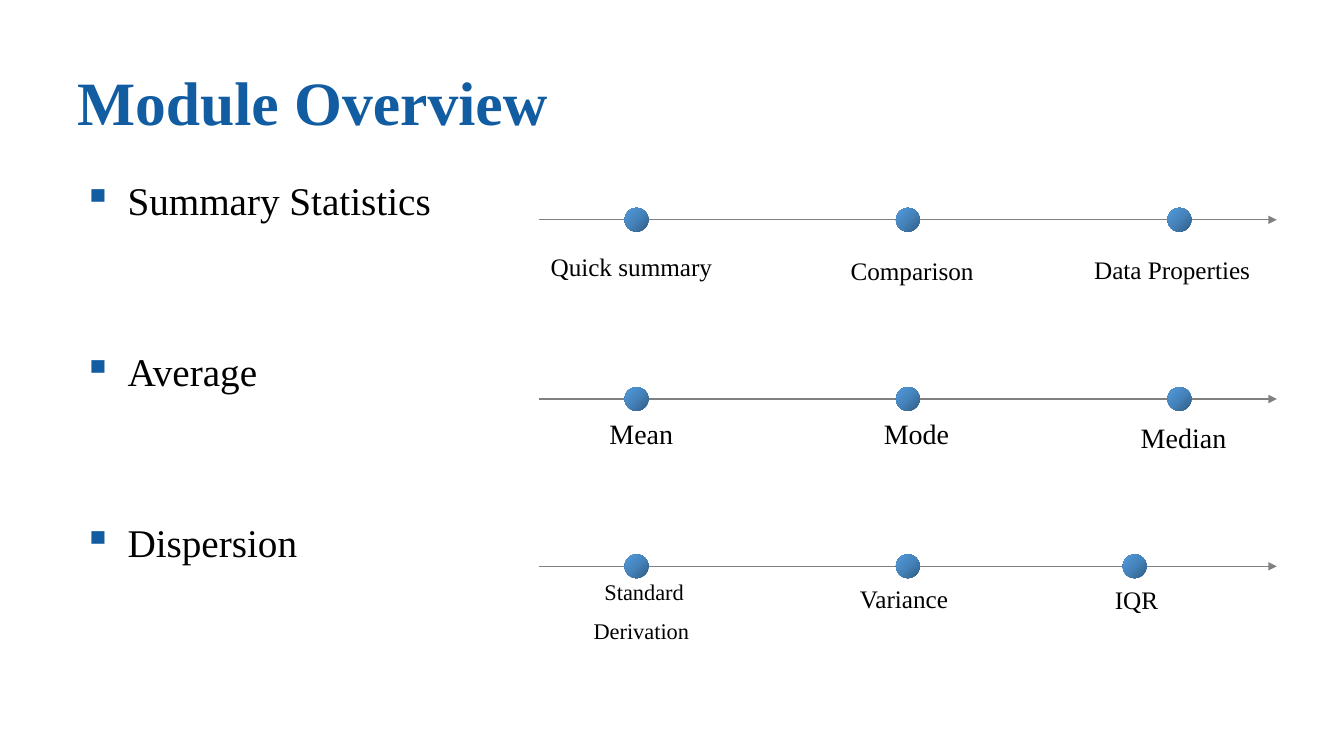
import copy

import pptx
import pptx.dml.color
import pptx.enum.shapes
import pptx.enum.text
import pptx.oxml
import pptx.oxml.ns
import pptx.util

Pt = pptx.util.Pt
RGBColor = pptx.dml.color.RGBColor
Align = pptx.enum.text.PP_ALIGN
Anchor = pptx.enum.text.MSO_ANCHOR
qn = pptx.oxml.ns.qn

BLUE = RGBColor(0x12, 0x5D, 0xA2)
BLACK = RGBColor(0, 0, 0)
GRAY = RGBColor(0x80, 0x80, 0x80)
DOT_STOPS = [
    (0, RGBColor(0x30, 0x5C, 0x84)),
    (0.5, RGBColor(0x45, 0x83, 0xBB)),
    (1, RGBColor(0x52, 0x9B, 0xDE)),
]

ARROW_LEFT, ARROW_RIGHT = 385, 912
DOT_SIZE = 17
DOT_FIRST, DOT_MIDDLE, DOT_LAST = 454.7, 648.5, 842.5

# Each topic: name, arrow height, then (dot centre, label lines, label box, format)
SUMMARY = dict(size=18, align=Align.CENTER, spacing=1.1)
AVERAGE = dict(size=20, before=10, indent=4.3)
SPREAD = dict(size=18, before=10, indent=4.3)
TOPICS = [
    ("Summary Statistics", 157, [
        (DOT_FIRST, ["Quick summary"], (391, 177, 120, 24), SUMMARY),
        (DOT_MIDDLE, ["Comparison"], (591, 180.5, 121, 22.5), SUMMARY),
        (DOT_LAST, ["Data Properties"], (781, 179, 112.5, 24), SUMMARY),
    ]),
    ("Average", 285, [
        (DOT_FIRST, ["Mean"], (431, 300, 83, 22.5), AVERAGE),
        (DOT_MIDDLE, ["Mode"], (627, 299.5, 83, 22.5), AVERAGE),
        (DOT_LAST, ["Median"], (810.5, 302.5, 83, 22.5), AVERAGE),
    ]),
    ("Dispersion", 404.5, [
        (DOT_FIRST, ["Standard", "Derivation "], (409.5, 415.5, 97, 44.5),
         dict(SPREAD, size=16, align=Align.CENTER)),
        (DOT_MIDDLE, ["Variance"], (610, 419, 100, 19.5), SPREAD),
        (810.5, ["IQR"], (792, 420, 68, 19.5), SPREAD),
    ]),
]


def write_text(para, text, *, size, color=BLACK, bold=False, font="Times New Roman",
               align=Align.LEFT, spacing=0.9, before=0, indent=0):
    span = para.add_run()
    span.text = text
    span.font.name = font
    span.font.size = Pt(size)
    span.font.bold = bold
    span.font.color.rgb = color
    para.alignment = align
    para.line_spacing = spacing
    para.space_before = Pt(before)
    para._p.get_or_add_pPr().set("marL", str(Pt(indent)))


class Page:
    def __init__(self, deck):
        self.shapes = deck.slides.add_slide(deck.slide_layouts[6]).shapes

    def text(self, lines, place, *, anchor=Anchor.MIDDLE, margins=(0, 0), **style):
        box = self.shapes.add_textbox(*map(Pt, place))
        frame = box.text_frame
        frame.word_wrap = True
        frame.vertical_anchor = anchor
        frame.margin_left = frame.margin_right = Pt(margins[0])
        frame.margin_top = frame.margin_bottom = Pt(margins[1])
        for index, line in enumerate(lines):
            para = frame.add_paragraph() if index else frame.paragraphs[0]
            write_text(para, line, **style)
        return frame

    def bullets(self, lines, place, **style):
        frame = self.text(lines, place, anchor=Anchor.TOP, **style)
        for para in frame.paragraphs:
            properties = para._p.get_or_add_pPr()
            properties.set("indent", str(-Pt(31.5)))
            color = pptx.oxml.ns.nsdecls("a")
            properties.append(pptx.oxml.parse_xml(
                f'<a:buClr {color}><a:srgbClr val="{BLUE}"/></a:buClr>'))
            properties.append(pptx.oxml.parse_xml(f'<a:buChar {color} char="▪"/>'))
        frame.paragraphs[0].space_before = Pt(0)

    def arrow(self, height):
        arrow = self.shapes.add_connector(
            pptx.enum.shapes.MSO_CONNECTOR.STRAIGHT,
            Pt(ARROW_LEFT), Pt(height), Pt(ARROW_RIGHT), Pt(height))
        arrow.line.color.rgb = GRAY
        arrow.line.width = Pt(0.75)
        head = pptx.oxml.parse_xml(
            f'<a:tailEnd {pptx.oxml.ns.nsdecls("a")} type="triangle"/>')
        arrow.line._get_or_add_ln().append(head)
        arrow._element.spPr.append(pptx.oxml.parse_xml(
            f'<a:effectLst {pptx.oxml.ns.nsdecls("a")}/>'))

    def dot(self, center, height):
        dot = self.shapes.add_shape(
            pptx.enum.shapes.MSO_SHAPE.OVAL, Pt(center - DOT_SIZE / 2),
            Pt(height - DOT_SIZE / 2), Pt(DOT_SIZE), Pt(DOT_SIZE))
        dot.shadow.inherit = False
        dot.line.fill.background()
        dot.fill.gradient()
        dot.fill.gradient_angle = 135
        # The default gradient has two stops, so a third is added
        stops = dot._element.spPr.find(qn("a:gradFill")).find(qn("a:gsLst"))
        stops.append(copy.deepcopy(stops[0]))
        for stop, (position, color) in zip(dot.fill.gradient_stops, DOT_STOPS):
            stop.position = position
            stop.color.rgb = color


def main():
    deck = pptx.Presentation()
    deck.slide_width, deck.slide_height = Pt(960), Pt(540)
    page = Page(deck)

    # Title and topic list
    page.text(["Module Overview"], (48, 20, 864, 110), margins=(7.2, 3.6),
              size=44, color=BLUE, bold=True)
    page.bullets([name for name, _, _ in TOPICS], (48, 126, 325, 360),
                 margins=(7.2, 3.6), size=28, before=92, indent=36)

    # One timeline per topic
    for _, height, steps in TOPICS:
        page.arrow(height)
        for center, lines, place, style in steps:
            page.dot(center, height)
            page.text(lines, place, **style)

    deck.save("out.pptx")


if __name__ == "__main__":
    main()
